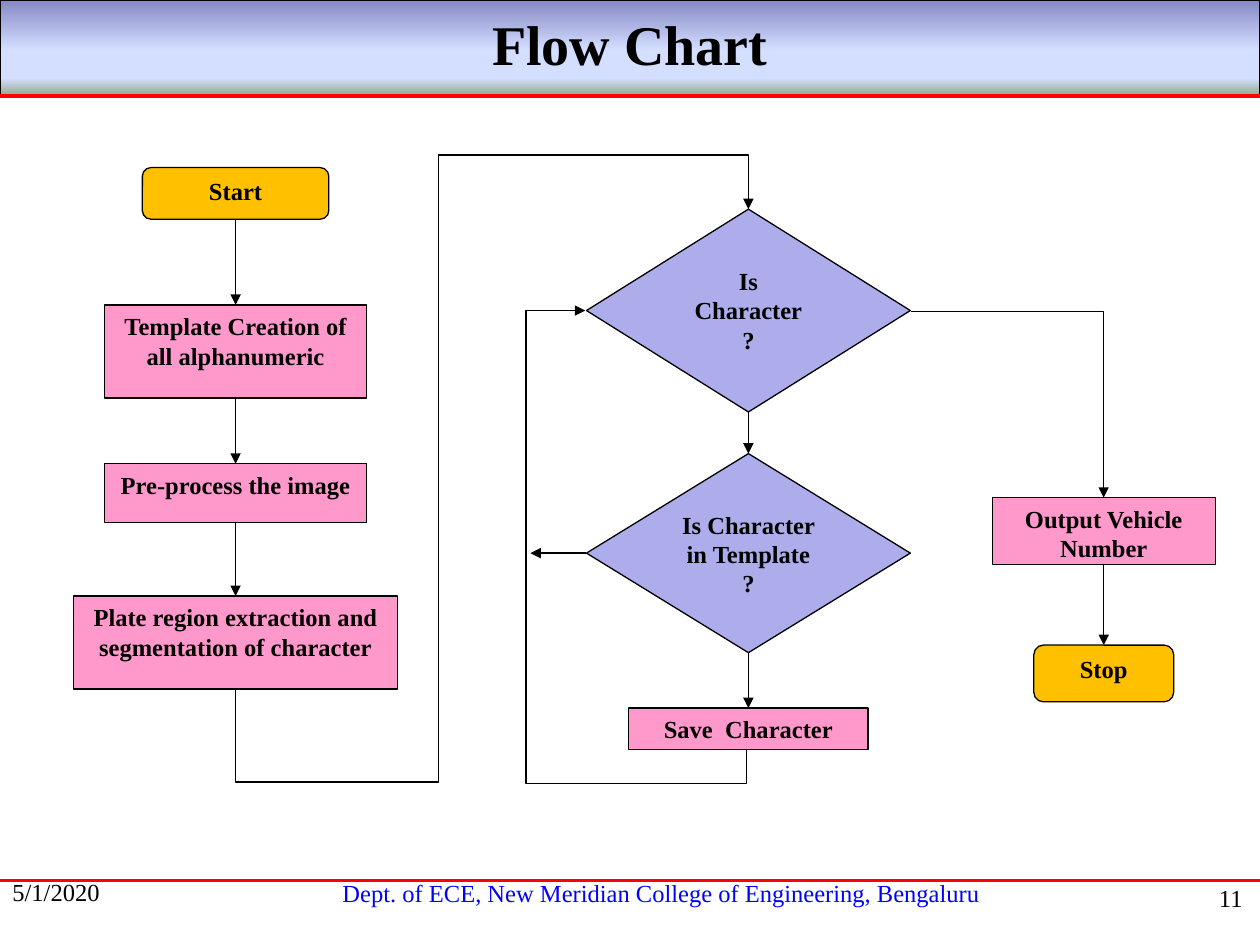
"""Build the flow chart slide for recognising vehicle number plates."""
from copy import deepcopy

from lxml import etree
from pptx import Presentation
from pptx.dml.color import RGBColor
from pptx.enum.shapes import MSO_CONNECTOR, MSO_SHAPE
from pptx.enum.text import MSO_ANCHOR, PP_ALIGN
from pptx.oxml.ns import qn
from pptx.util import Inches, Pt

STRAIGHT, ELBOW = MSO_CONNECTOR.STRAIGHT, MSO_CONNECTOR.ELBOW
RECTANGLE, ROUNDED, DIAMOND = MSO_SHAPE.RECTANGLE, MSO_SHAPE.ROUNDED_RECTANGLE, MSO_SHAPE.DIAMOND
LEFT, CENTER, RIGHT = PP_ALIGN.LEFT, PP_ALIGN.CENTER, PP_ALIGN.RIGHT
TOP_SITE, LEFT_SITE, BOTTOM_SITE = 0, 1, 2

THEME = {
    "font": "Times New Roman",
    "title_size": 32,
    "body_size": 14,
    "text": "000000",
    "line": "000000",
    "rule": "FF0000",
    "footer": "0000FF",
    "band": [(0, "8488C4"), (0.53, "D4DEFF"), (0.83, "D4DEFF"), (1, "96AB94")],
    "terminal": "FFC000",
    "process": "FF99CC",
    "decision": "ADADEB",
    "line_width": 0.75,
}

NODE_SHAPES = {"terminal": ROUNDED, "process": RECTANGLE, "decision": DIAMOND}
COLUMNS = {"prepare": 1.87, "recognise": 5.94, "finish": 8.76}

# name: kind, column, top, width, height, paragraphs
NODES = {
    "start": ("terminal", "prepare", 1.33, 1.48, 0.41, ["Start"]),
    "template": ("process", "prepare", 2.42, 2.08, 0.74, ["Template Creation of all alphanumeric"]),
    "preprocess": ("process", "prepare", 3.68, 2.08, 0.47, ["Pre-process the image"]),
    "extract": ("process", "prepare", 4.73, 2.57, 0.74,
                ["Plate region extraction and segmentation of character"]),
    "is_character": ("decision", "recognise", 1.66, 2.57, 1.61, ["Is", "Character", "?"]),
    "in_template": ("decision", "recognise", 3.6, 2.57, 1.58, ["Is Character in Template", "?"]),
    "save": ("process", "recognise", 5.62, 1.9, 0.33, ["Save  Character"]),
    "output": ("process", "finish", 3.95, 1.77, 0.53, ["Output Vehicle Number"]),
    "stop": ("terminal", "finish", 5.12, 1.11, 0.45, ["Stop"]),
}

FLOWS = [
    ("start", "template"), ("template", "preprocess"), ("preprocess", "extract"),
    ("is_character", "in_template"), ("in_template", "save"), ("output", "stop"),
]

# left, top, width, height, preset, quarter turns, flips, adjustments, arrow
ELBOWS = [
    (0.56, 2.54, 4.23, 1.61, "bentConnector3", 1, ("flipH", "flipV"), [-17700], False),
    (3.48, 1.23, 2.46, 0.43, "bentConnector2", 0, (), [], True),
    (3.54, 3.57, 3.49, 1.28, "bentConnector4", 1, ("flipH",), [-7500, 136800], True),
    (7.23, 2.47, 1.53, 1.48, "bentConnector2", 0, (), [], True),
]

RULES = [(0.76, 2.25), (6.99, 1.5)]

# text, left, top, width, height, alignment, size, colour, bold
LABELS = [
    ("Dept. of ECE, New Meridian College of Engineering, Bengaluru",
     1.71, 6.92, 7.08, 0.33, CENTER, "body_size", "footer", False),
    ("5/1/2020", 0, 6.91, 2.08, 0.5, LEFT, "body_size", "text", False),
    ("11", 7.88, 6.96, 2.08, 0.5, RIGHT, "body_size", "text", False),
    ("Flow Chart", 0, 0.03, 10, 0.64, CENTER, "title_size", "text", True),
]


def color(name):
    return RGBColor.from_string(THEME[name])


def write(shape, paragraphs, alignment, size="body_size", ink="text", bold=True):
    frame = shape.text_frame
    frame.word_wrap = True
    frame.vertical_anchor = MSO_ANCHOR.TOP
    for index, text in enumerate(paragraphs):
        paragraph = frame.add_paragraph() if index else frame.paragraphs[0]
        paragraph.alignment = alignment
        run = paragraph.add_run()
        run.text = text
        run.font.name = THEME["font"]
        run.font.size = Pt(THEME[size])
        run.font.bold = bold
        run.font.color.rgb = color(ink)


def add_box(slide, preset, left, top, width, height):
    shape = slide.shapes.add_shape(preset, Inches(left), Inches(top), Inches(width), Inches(height))
    shape.shadow.inherit = False
    shape.line.color.rgb = color("line")
    shape.line.width = Pt(THEME["line_width"])
    return shape


def add_band(slide):
    band = add_box(slide, RECTANGLE, 0, 0, 10, 0.75)
    band.fill.gradient()
    band.fill.gradient_angle = 270
    stop_list = band._element.spPr.find(".//" + qn("a:gsLst"))
    for _ in THEME["band"][2:]:
        stop_list.append(deepcopy(stop_list[0]))
    for stop, (position, value) in zip(band.fill.gradient_stops, THEME["band"]):
        stop.position = position
        stop.color.rgb = RGBColor.from_string(value)


def add_line(slide, start, end, kind=STRAIGHT, ink="line", width=THEME["line_width"], arrow=False):
    points = [Inches(value) for value in (*start, *end)]
    connector = slide.shapes.add_connector(kind, *points)
    connector.line.color.rgb = color(ink)
    connector.line.width = Pt(width)
    properties = connector._element.spPr
    if arrow:
        etree.SubElement(properties.find(qn("a:ln")), qn("a:tailEnd"), type="triangle")
    etree.SubElement(properties, qn("a:effectLst"))
    return connector


def add_elbow(slide, left, top, width, height, preset, turns, flips, adjustments, arrow):
    connector = add_line(slide, (left, top), (left + width, top + height), ELBOW, arrow=arrow)
    properties = connector._element.spPr
    transform = properties.find(qn("a:xfrm"))
    transform.set("rot", str(turns * 5400000))
    for flip in flips:
        transform.set(flip, "1")
    geometry = properties.find(qn("a:prstGeom"))
    geometry.set("prst", preset)
    guides = geometry.find(qn("a:avLst"))
    for number, value in enumerate(adjustments, 1):
        etree.SubElement(guides, qn("a:gd"), name=f"adj{number}", fmla=f"val {value}")


def add_node(slide, kind, column, top, width, height, paragraphs):
    left = COLUMNS[column] - width / 2
    node = add_box(slide, NODE_SHAPES[kind], left, top, width, height)
    node.fill.solid()
    node.fill.fore_color.rgb = color(kind)
    write(node, paragraphs, CENTER)
    return node


def main():
    presentation = Presentation()
    presentation.slide_width, presentation.slide_height = Inches(10), Inches(7.5)
    slide = presentation.slides.add_slide(presentation.slide_layouts[6])

    add_band(slide)
    for height, width in RULES:
        add_line(slide, (0, height), (10, height), ink="rule", width=width)
    for text, left, top, width, height, alignment, size, ink, bold in LABELS:
        label = slide.shapes.add_textbox(Inches(left), Inches(top), Inches(width), Inches(height))
        write(label, [text], alignment, size, ink, bold)

    nodes = {name: add_node(slide, *node) for name, node in NODES.items()}
    for source, target in FLOWS:
        flow = add_line(slide, (0, 0), (1, 1), arrow=True)
        flow.begin_connect(nodes[source], BOTTOM_SITE)
        flow.end_connect(nodes[target], TOP_SITE)
    rejected = add_line(slide, (4.66, 4.39), (4.21, 4.39), arrow=True)
    rejected.begin_connect(nodes["in_template"], LEFT_SITE)
    for elbow in ELBOWS:
        add_elbow(slide, *elbow)

    presentation.save("out.pptx")


if __name__ == "__main__":
    main()
